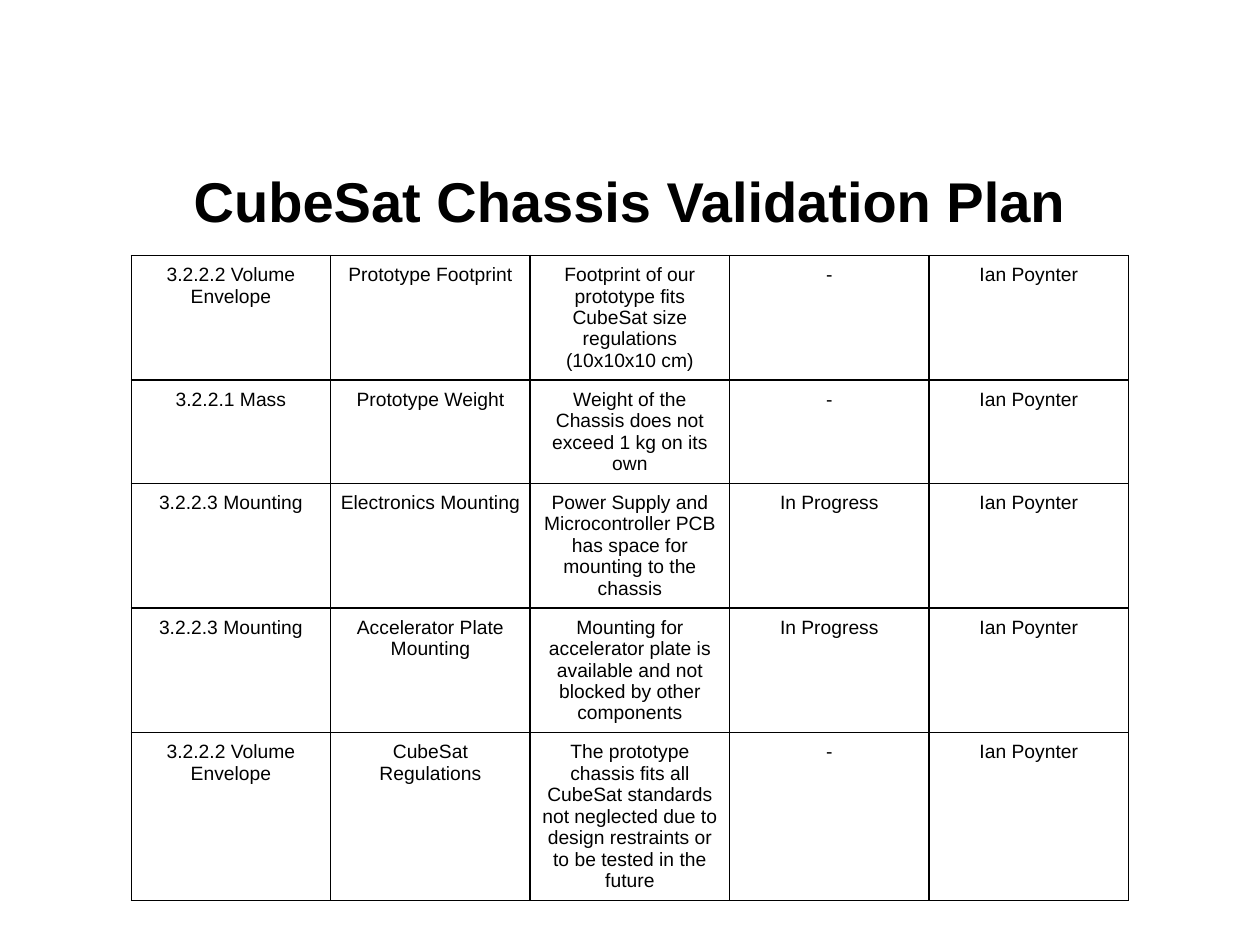
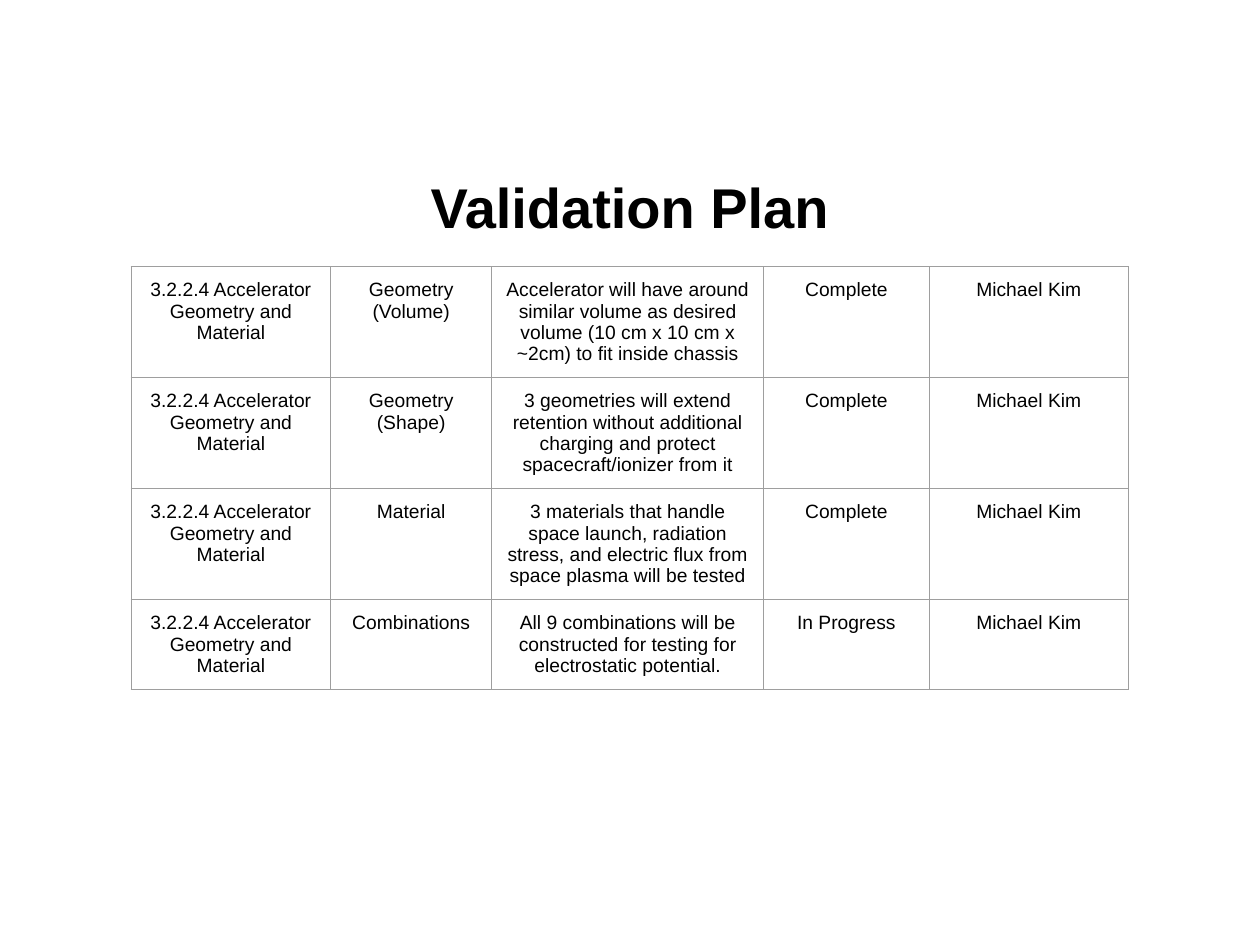
from lxml import etree
from pptx import Presentation
from pptx.dml.color import RGBColor
from pptx.enum.text import MSO_ANCHOR, PP_ALIGN
from pptx.oxml.ns import qn
from pptx.util import Pt

CENTER = PP_ALIGN.CENTER
MIDDLE = MSO_ANCHOR.MIDDLE
FONT = "Arial"
INK = "000000"
GRAY = "9E9E9E"
LEFT = 75
ROW = 30
PITCH = 12.25


def style(para, size, bold=False):
    para.alignment = CENTER
    for run in para.runs:
        run.font.name = FONT
        run.font.size = Pt(size)
        run.font.bold = bold
        run.font.color.rgb = RGBColor.from_string(INK)


def border(cell, color, width):
    props = cell._tc.get_or_add_tcPr()
    for side in ("lnL", "lnR", "lnT", "lnB"):
        line = etree.SubElement(props, qn(f"a:{side}"), w=str(Pt(width)))
        fill = etree.SubElement(line, qn("a:solidFill"))
        etree.SubElement(fill, qn("a:srgbClr"), val=color)


chassis = [
    ("3.2.2.2 Volume Envelope", "Prototype Footprint",
     "Footprint of our prototype fits CubeSat size regulations (10x10x10 cm)", "-"),
    ("3.2.2.1 Mass", "Prototype Weight",
     "Weight of the Chassis does not exceed 1 kg on its own", "-"),
    ("3.2.2.3 Mounting", "Electronics Mounting",
     "Power Supply and Microcontroller PCB has space for mounting to the chassis",
     "In Progress"),
    ("3.2.2.3 Mounting", "Accelerator Plate Mounting",
     "Mounting for accelerator plate is available and not blocked by other components",
     "In Progress"),
    ("3.2.2.2 Volume Envelope", "CubeSat Regulations",
     "The prototype chassis fits all CubeSat standards not neglected due to design "
     "restraints or to be tested in the future", "-"),
]

topic = "3.2.2.4 Accelerator Geometry and Material"
plate = [
    (topic, "Geometry (Volume)",
     "Accelerator will have around similar volume as desired volume "
     "(10 cm x 10 cm x ~2cm) to fit inside chassis", "Complete"),
    (topic, "Geometry (Shape)",
     "3 geometries will extend retention without additional charging and protect "
     "spacecraft/ionizer from it", "Complete"),
    (topic, "Material",
     "3 materials that handle space launch, radiation stress, and electric flux "
     "from space plasma will be tested", "Complete"),
    (topic, "Combinations",
     "All 9 combinations will be constructed for testing for electrostatic potential.",
     "In Progress"),
]

plans = [
    ("CubeSat Chassis Validation Plan", 82.8, 146, chassis, "Ian Poynter",
     [114] * 5, 5, INK, 1),
    ("Validation Plan", 86, 152.4, plate, "Michael Kim",
     [114, 92, 155.5, 94.5, 114], 7.2, GRAY, 0.75),
]

prs = Presentation()
prs.slide_width = Pt(720)
prs.slide_height = Pt(540)

for name, head, top, tests, owner, widths, inset, color, weight in plans:
    slide = prs.slides.add_slide(prs.slide_layouts[6])

    title = slide.shapes.add_textbox(Pt(36), Pt(head), Pt(648), Pt(63.4))
    frame = title.text_frame
    frame.word_wrap = True
    frame.vertical_anchor = MIDDLE
    frame.text = name
    style(frame.paragraphs[0], 32, True)

    table = slide.shapes.add_table(
        len(tests), len(widths), Pt(LEFT), Pt(top),
        Pt(sum(widths)), Pt(ROW * len(tests))).table
    table.first_row = False
    table.horz_banding = False
    for col, width in zip(table.columns, widths):
        col.width = Pt(width)

    for row, test in zip(table.rows, tests):
        row.height = Pt(ROW)
        for cell, text in zip(row.cells, (*test, owner)):
            cell.margin_left = cell.margin_right = Pt(inset)
            cell.margin_top = cell.margin_bottom = Pt(inset)
            cell.text_frame.text = text
            para = cell.text_frame.paragraphs[0]
            para.line_spacing = Pt(PITCH)
            style(para, 11)
            border(cell, color, weight)
            cell.fill.background()

prs.save("out.pptx")
